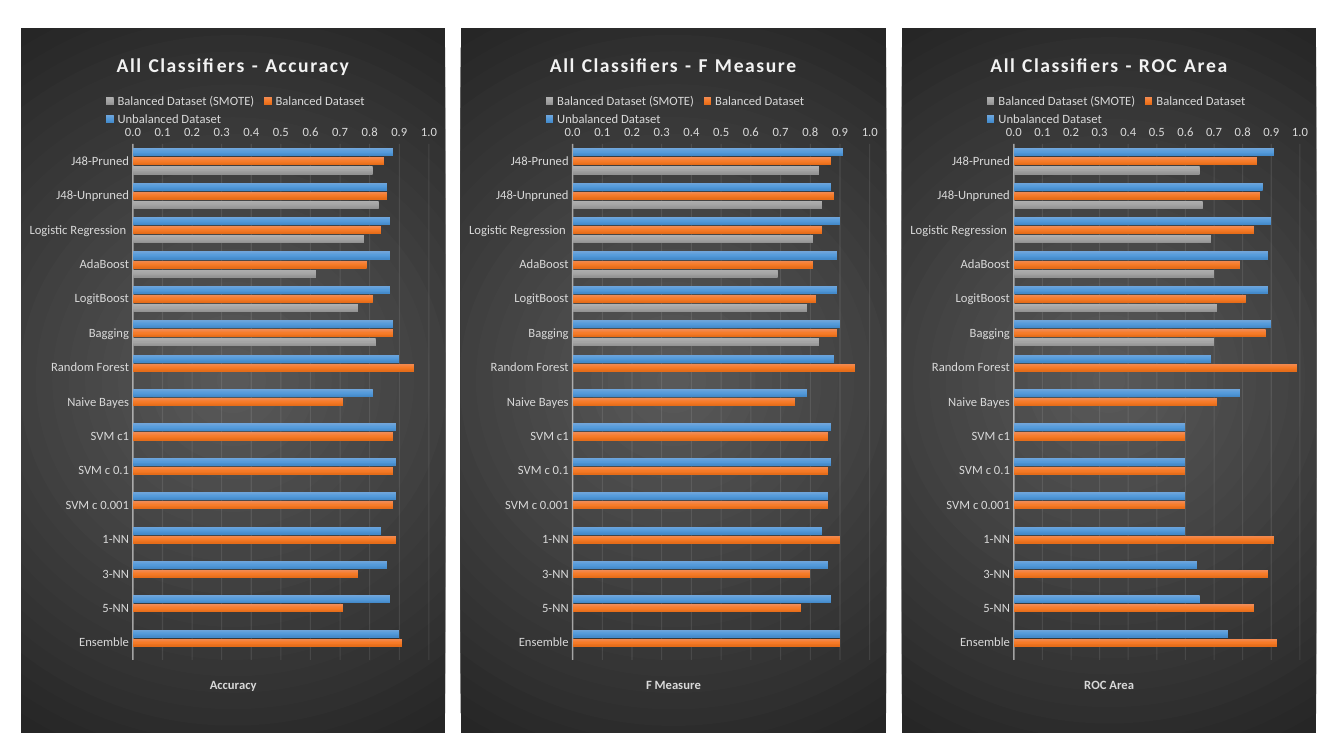
from lxml import etree
from pptx import Presentation
from pptx.chart.data import CategoryChartData
from pptx.dml.color import RGBColor
from pptx.enum import chart as kinds
from pptx.oxml import ns
from pptx.util import Cm, Pt

COLORS = {"label": "D9D9D9", "line": "F2F2F2", "center": "595959", "edge": "262626"}
FONT = "Calibri"
TOP, HEIGHT = 0.71, 17.75
CLASSIFIERS = ["J48-Pruned", "J48-Unpruned", "Logistic Regression ", "AdaBoost",
               "LogitBoost", "Bagging", "Random Forest", "Naive Bayes", "SVM c1",
               "SVM c 0.1", "SVM c 0.001", "1-NN", "3-NN", "5-NN", "Ensemble"]
# Data set and the gradient of its bars
DATASETS = {
    "Unbalanced Dataset": ("71A6DB", "559BDB", "448ACA"),
    "Balanced Dataset": ("F18C57", "F67B28", "E56C19"),
    "Balanced Dataset (SMOTE)": ("AFAFAF", "A5A5A5", "939393"),
}
# Measure, left and width in cm, values for each data set
MEASURES = [
    ("Accuracy", 0.53, 10.69, [
        [0.88, 0.86, 0.87, 0.87, 0.87, 0.88, 0.9, 0.81, 0.89, 0.89, 0.89, 0.84, 0.86, 0.87, 0.9],
        [0.85, 0.86, 0.84, 0.79, 0.81, 0.88, 0.95, 0.71, 0.88, 0.88, 0.88, 0.89, 0.76, 0.71, 0.91],
        [0.81, 0.83, 0.78, 0.62, 0.76, 0.82]]),
    ("F Measure", 11.61, 10.72, [
        [0.91, 0.87, 0.9, 0.89, 0.89, 0.9, 0.88, 0.79, 0.87, 0.87, 0.86, 0.84, 0.86, 0.87, 0.9],
        [0.87, 0.88, 0.84, 0.81, 0.82, 0.89, 0.95, 0.75, 0.86, 0.86, 0.86, 0.9, 0.8, 0.77, 0.9],
        [0.83, 0.84, 0.81, 0.69, 0.79, 0.83]]),
    ("ROC Area", 22.73, 10.44, [
        [0.91, 0.87, 0.9, 0.89, 0.89, 0.9, 0.69, 0.79, 0.6, 0.6, 0.6, 0.6, 0.64, 0.65, 0.75],
        [0.85, 0.86, 0.84, 0.79, 0.81, 0.88, 0.99, 0.71, 0.6, 0.6, 0.6, 0.91, 0.89, 0.84, 0.92],
        [0.65, 0.66, 0.69, 0.7, 0.71, 0.7]]),
]


def add_child(parent, tag, **attributes):
    return etree.SubElement(parent, ns.qn(tag), attributes)


def add_gradient(properties, colors):
    gradient = add_child(properties, "a:gradFill", rotWithShape="1")
    stops = add_child(gradient, "a:gsLst")
    for i, color in enumerate(colors):
        stop = add_child(stops, "a:gs", pos=str(100000 * i // (len(colors) - 1)))
        add_child(stop, "a:srgbClr", val=color)
    return gradient


def style_font(font, size, color, bold=False):
    font.name, font.size, font.bold = FONT, Pt(size), bold
    font.color.rgb = RGBColor.from_string(COLORS[color])


def style_line(line, width, opacity):
    line.width = Pt(width)
    line.color.rgb = RGBColor.from_string(COLORS["line"])
    color = next(line.fill._xPr.iter(ns.qn("a:srgbClr")))
    add_child(color, "a:alpha", val=str(opacity * 1000))


def write_title(frame, wording, size, color, spacing=0):
    paragraph = frame.paragraphs[0]
    paragraph.text = wording
    style_font(paragraph.font, size, color, bold=True)
    paragraph.runs[0].font._element.set("spc", str(spacing))
    style_font(paragraph.runs[0].font, size, color, bold=True)


def place(part, index, chart_width, left, top, width, height, inner=False):
    """Fix a chart part at a place given in cm from the chart's corner."""
    for old in part.findall(ns.qn("c:layout")):
        part.remove(old)
    layout = part.makeelement(ns.qn("c:layout"))
    part.insert(index, layout)
    manual = add_child(layout, "c:manualLayout")
    if inner:
        add_child(manual, "c:layoutTarget", val="inner")
    add_child(manual, "c:xMode", val="edge")
    add_child(manual, "c:yMode", val="edge")
    for tag, length, whole in (("c:x", left, chart_width), ("c:y", top, HEIGHT),
                               ("c:w", width, chart_width), ("c:h", height, HEIGHT)):
        add_child(manual, tag, val=f"{length / whole:.4f}")


def style_background(chart):
    properties = chart._chartSpace.makeelement(ns.qn("c:spPr"))
    chart._chartSpace.find(ns.qn("c:chart")).addnext(properties)
    gradient = add_gradient(properties, (COLORS["center"], COLORS["edge"]))
    circle = add_child(gradient, "a:path", path="circle")
    add_child(circle, "a:fillToRect", l="50000", t="50000", r="50000", b="50000")
    add_child(add_child(properties, "a:ln"), "a:noFill")


def style_axes(chart, measure):
    classifiers, scores = chart.category_axis, chart.value_axis
    for axis in (classifiers, scores):
        axis.major_tick_mark = axis.minor_tick_mark = kinds.XL_TICK_MARK.NONE
        style_font(axis.tick_labels.font, 9, "label")
    classifiers.reverse_order = True
    classifiers.crosses = kinds.XL_AXIS_CROSSES.MAXIMUM
    style_line(classifiers.format.line, 1, 54)
    scores.minimum_scale, scores.maximum_scale, scores.major_unit = 0, 1, 0.1
    scores.tick_labels.number_format = "0.0"
    scores.tick_labels.number_format_is_linked = False
    scores.format.line.fill.background()
    style_line(scores.major_gridlines.format.line, 0.75, 10)
    write_title(scores.axis_title.text_frame, measure, 9, "label")


def style_bars(plot):
    plot.gap_width, plot.overlap, plot.vary_by_categories = 115, -20, False
    for bars, colors in zip(plot.series, DATASETS.values()):
        bars.invert_if_negative = False
        gradient = add_gradient(bars._element.get_or_add_spPr(), colors)
        add_child(gradient, "a:lin", ang="5400000", scaled="0")


def add_measure_chart(slide, measure, left, width, scores):
    data = CategoryChartData(number_format="0.00")
    data.categories = CLASSIFIERS
    for dataset, values in zip(DATASETS, scores):
        data.add_series(dataset, values + [None] * (len(CLASSIFIERS) - len(values)))
    chart = slide.shapes.add_chart(
        kinds.XL_CHART_TYPE.BAR_CLUSTERED, Cm(left), Cm(TOP), Cm(width), Cm(HEIGHT), data).chart
    chart.font.name, chart.font.size = FONT, Pt(10)
    style_background(chart)
    style_axes(chart, measure)
    style_bars(chart.plots[0])

    # Title and legend
    chart.has_title = chart.has_legend = True
    write_title(chart.chart_title.text_frame, f"All Classifiers - {measure}", 14, "line", 100)
    chart.chart_title.include_in_layout = False
    chart.legend.position = kinds.XL_LEGEND_POSITION.TOP
    chart.legend.include_in_layout = False
    style_font(chart.legend.font, 9, "label")

    # Places of legend and plot
    place(chart.legend._element, 1, width, 2, 1.56, 6.8, 1)
    plot_area = next(chart._chartSpace.iter(ns.qn("c:plotArea")))
    place(plot_area, 0, width, 2.82, 2.92, width - 3.23, 13, inner=True)


def main():
    deck = Presentation()
    deck.slide_width, deck.slide_height = Cm(33.87), Cm(19.05)
    slide = deck.slides.add_slide(deck.slide_layouts[6])
    for measure in MEASURES:
        add_measure_chart(slide, *measure)
    deck.save("out.pptx")


if __name__ == "__main__":
    main()
